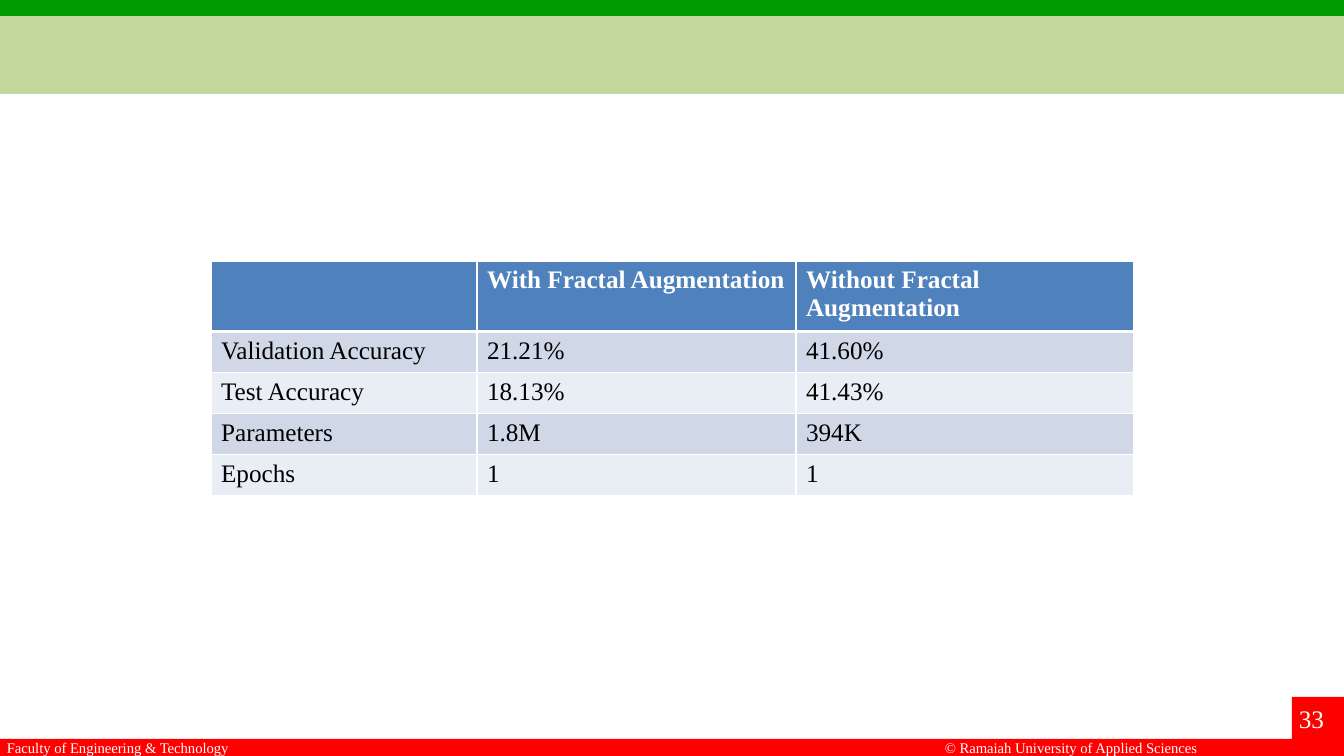
from lxml import etree
from pptx import Presentation, util as u
from pptx.dml.color import RGBColor
from pptx.enum import shapes
from pptx.oxml.ns import qn

PX = 914400 / 100.8
WIDTH, HEIGHT = 1344, 756
FONT = "Times New Roman"
WHITE, BLACK, RED = "FFFFFF", "000000", "FF0000"
GREEN, PALE_GREEN = "009900", "C3D69B"
HEADER_FILL, BAND_FILLS = "4F81BD", ("D0D8E8", "E9EDF4")

COLUMN_WIDTHS = (266, 319, 338)
HEADER_HEIGHT, ROW_HEIGHT = 70, 41
RESULTS = (
    ("", "With Fractal Augmentation", "Without Fractal Augmentation"),
    ("Validation Accuracy", "21.21%", "41.60%"),
    ("Test Accuracy", "18.13%", "41.43%"),
    ("Parameters", "1.8M", "394K"),
    ("Epochs", "1", "1"),
)


def px(n):
    return u.Emu(round(n * PX))


def box(*lengths):
    return [px(n) for n in lengths]


def paint(fill, color):
    fill.solid()
    fill.fore_color.rgb = RGBColor.from_string(color)


def style(p, size, color, bold=False):
    p.font.name = FONT
    p.font.size = u.Pt(size)
    p.font.bold = bold
    paint(p.font.fill, color)


def add_bar(s, x, y, w, h, color):
    sp = s.shapes.add_shape(shapes.MSO_SHAPE.RECTANGLE, *box(x, y, w, h))
    sp.shadow.inherit = False
    paint(sp.fill, color)
    sp.line.fill.background()
    return sp


def add_label(s, x, y, w, h, words, size):
    tf = s.shapes.add_textbox(*box(x, y, w, h)).text_frame
    tf.word_wrap = False
    tf.text = words
    style(tf.paragraphs[0], size, WHITE)


def set_borders(cell, color, top, bottom):
    """Draw all four cell edges; the sides are 1 pt wide."""
    tc_pr = cell._tc.get_or_add_tcPr()
    for side, points in (("L", 1), ("R", 1), ("T", top), ("B", bottom)):
        ln = etree.SubElement(tc_pr, qn(f"a:ln{side}"), w=str(u.Pt(points)))
        solid = etree.SubElement(ln, qn("a:solidFill"))
        etree.SubElement(solid, qn("a:srgbClr"), val=color)


def add_results_table(s, x, y):
    heights = [HEADER_HEIGHT] + [ROW_HEIGHT] * (len(RESULTS) - 1)
    frame = s.shapes.add_table(len(RESULTS), len(COLUMN_WIDTHS),
                               *box(x, y, sum(COLUMN_WIDTHS), sum(heights)))
    table = frame.table
    for column, width in zip(table.columns, COLUMN_WIDTHS):
        column.width = px(width)
    for i, (values, height) in enumerate(zip(RESULTS, heights)):
        table.rows[i].height = px(height)
        header = i == 0
        for j, value in enumerate(values):
            cell = table.cell(i, j)
            set_borders(cell, WHITE, top=3 if i == 1 else 1, bottom=3 if header else 1)
            paint(cell.fill, HEADER_FILL if header else BAND_FILLS[(i - 1) % 2])
            cell.text = value
            style(cell.text_frame.paragraphs[0], 18, WHITE if header else BLACK, header)


def main():
    prs = Presentation()
    prs.slide_width, prs.slide_height = box(WIDTH, HEIGHT)
    s = prs.slides.add_slide(prs.slide_layouts[6])

    add_bar(s, 0, 0, WIDTH, 17, GREEN)
    add_bar(s, 0, 739, WIDTH, 17, RED)
    add_label(s, 935, 734, 295, 28, "© Ramaiah University of Applied Sciences", 10.5)
    add_bar(s, 1292, 697, 52, 59, RED)
    add_label(s, 1289, 698, 61, 40, "33", 18)
    add_label(s, -3, 734, 265, 28, "Faculty of Engineering & Technology", 10.5)

    title_band = add_bar(s, 0, 17, WIDTH, 76, PALE_GREEN)
    paint(title_band.line.fill, PALE_GREEN)
    title_band.line.width = u.Pt(2)

    add_results_table(s, 211, 261)
    prs.save("out.pptx")


if __name__ == "__main__":
    main()
